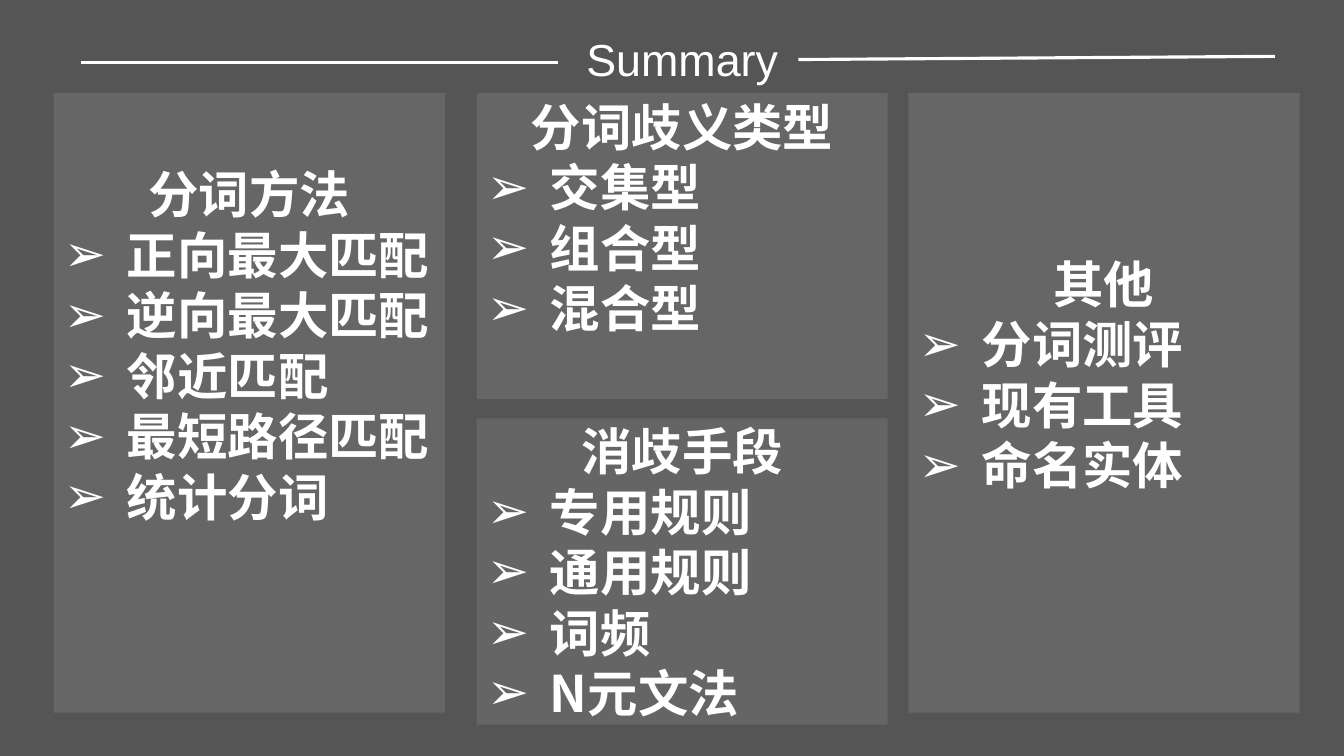
from lxml import etree
from pptx import Presentation
from pptx.dml.color import RGBColor
from pptx.enum.shapes import MSO_CONNECTOR
from pptx.enum.text import MSO_ANCHOR, MSO_AUTO_SIZE, PP_ALIGN
from pptx.oxml.ns import qn
from pptx.util import Cm, Pt

STRAIGHT = MSO_CONNECTOR.STRAIGHT
MIDDLE = MSO_ANCHOR.MIDDLE
NO_FIT = MSO_AUTO_SIZE.NONE
CENTER, LEFT = PP_ALIGN.CENTER, PP_ALIGN.LEFT

WHITE = RGBColor(0xFF, 0xFF, 0xFF)
PALE = RGBColor(0xF2, 0xF2, 0xF2)
CHARCOAL = RGBColor(0x55, 0x55, 0x55)

LATIN = "Arial"
CHINESE = "Noto Sans CJK SC"
COMPARISON_LAYOUT = 4  # one title and four body placeholders
INSET = 0.13
SPARE_LINE = 1.46  # height of one free line below a list, in cm


def write(para, text, size=36, bold=True, font=LATIN, align=LEFT, bullet=None):
    """Fill a paragraph with one formatted span and an optional bullet."""
    para.alignment = align
    para.line_spacing = 1.0
    para.space_before = para.space_after = Pt(0)
    properties = para._p.get_or_add_pPr()
    hanging = Cm(1.59) if bullet else 0
    properties.set("marL", str(hanging))
    properties.set("indent", str(-hanging))
    if bullet:
        etree.SubElement(properties, qn("a:buFont"), typeface=LATIN)
        etree.SubElement(properties, qn("a:buChar"), char=bullet)
    else:
        etree.SubElement(properties, qn("a:buNone"))

    span = para.add_run()
    span.text = text
    span.font.size = Pt(size)
    span.font.bold = bold
    span.font.name = font
    span.font.color.rgb = WHITE
    etree.SubElement(span.font._element, qn("a:ea"), typeface=CHINESE)


class SummaryPage:
    """Holds the current slide and draws its kinds of element."""

    def __init__(self, deck):
        self.page = deck.slides.add_slide(deck.slide_layouts[COMPARISON_LAYOUT])
        background = self.page.background.fill
        background.solid()
        background.fore_color.rgb = CHARCOAL

    def place(self, box, left, top, width, height, inset):
        box.left, box.top = Cm(left), Cm(top)
        box.width, box.height = Cm(width), Cm(height)
        frame = box.text_frame
        frame.word_wrap = True
        frame.auto_size = NO_FIT
        frame.vertical_anchor = MIDDLE
        frame.margin_left = frame.margin_right = Cm(2 * inset)
        frame.margin_top = frame.margin_bottom = Cm(inset)
        return frame

    def title(self, text, left, top, width, height):
        frame = self.place(self.page.shapes.title, left, top, width, height, 0)
        write(frame.paragraphs[0], text, size=32, bold=False, align=CENTER)

    def rule(self, left, start, right, end):
        line = self.page.shapes.add_connector(
            STRAIGHT, Cm(left), Cm(start), Cm(right), Cm(end))
        line.line.color.rgb = WHITE
        line.line.width = Pt(2.25)
        etree.SubElement(line._element.spPr, qn("a:effectLst"))

    def panel(self, number, heading, items, left, top, width, height,
              spare=0, font=LATIN, color=WHITE):
        box = self.page.placeholders[number]
        frame = self.place(box, left, top, width, height, INSET)
        frame.margin_bottom = Cm(INSET + spare * SPARE_LINE)
        box.fill.solid()
        box.fill.fore_color.rgb = color
        tint = box._element.spPr.find(".//" + qn("a:srgbClr"))
        etree.SubElement(tint, qn("a:alpha"), val="10000")
        write(frame.paragraphs[0], heading, font=font, align=CENTER)
        for item in items:
            write(frame.add_paragraph(), item, font=font, bullet="➢")


def main():
    deck = Presentation()
    deck.slide_width, deck.slide_height = Cm(33.87), Cm(19.05)
    summary = SummaryPage(deck)

    # Heading between two rules
    summary.title("Summary", 13.13, 0.79, 8.13, 1.37)
    summary.rule(2.03, 1.57, 14.05, 1.57)
    summary.rule(20.12, 1.5, 32.13, 1.42)

    # Tall side panels and two stacked middle panels
    top, side, tall = 2.34, 9.86, 15.62
    middle_left, middle, short = 12.01, 10.36, 7.72
    summary.panel(1, "分词方法",
                  ["正向最大匹配", "逆向最大匹配", "邻近匹配", "最短路径匹配", "统计分词"],
                  1.35, top, side, tall, spare=2)
    summary.panel(2, "分词歧义类型", ["交集型", "组合型", "混合型"],
                  middle_left, top, middle, short, spare=1)
    summary.panel(3, "消歧手段", ["专用规则", "通用规则", "词频", "N元文法"],
                  middle_left, 10.54, middle, short, font=CHINESE, color=PALE)
    summary.panel(4, "其他", ["分词测评", "现有工具", "命名实体"],
                  22.89, top, side, tall, spare=1)

    deck.save("out.pptx")


if __name__ == "__main__":
    main()
